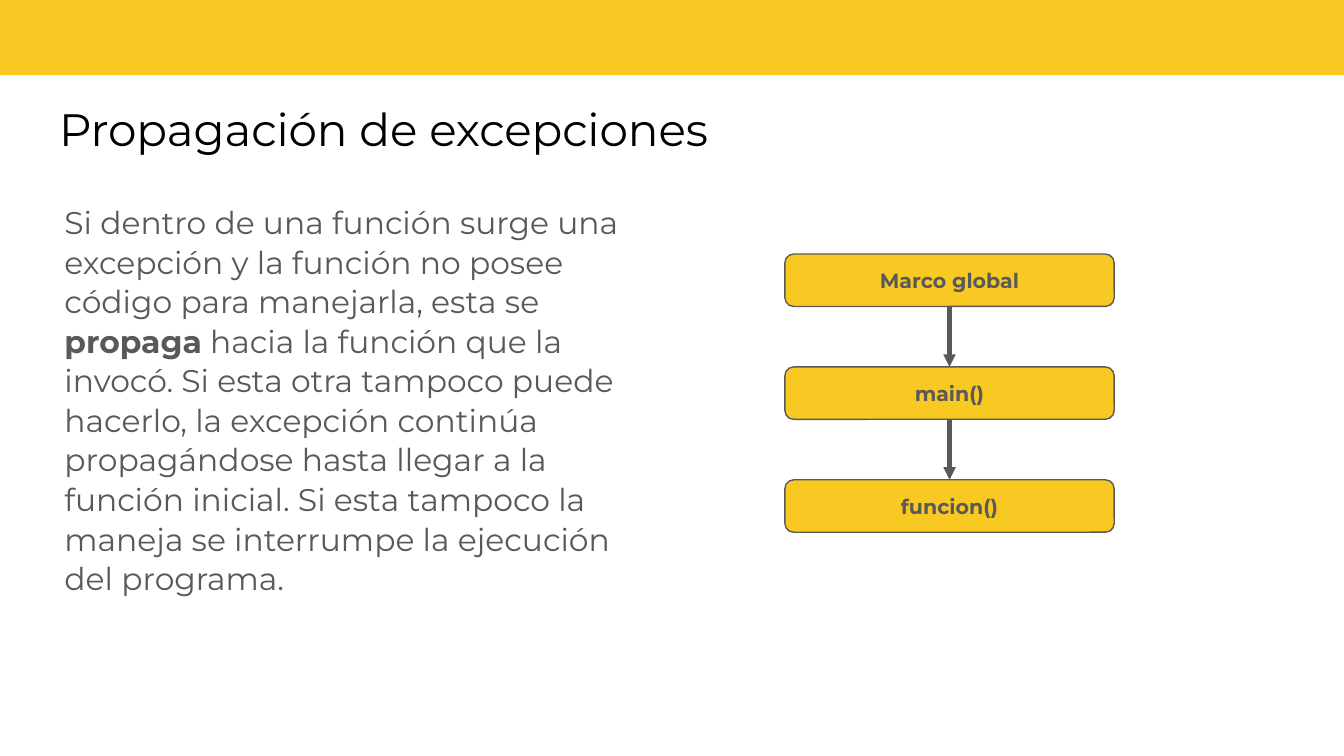
from pptx import Presentation
from pptx.dml.color import RGBColor
from pptx.enum.shapes import MSO_CONNECTOR, MSO_SHAPE
from pptx.enum.text import MSO_ANCHOR, PP_ALIGN
from pptx.oxml.ns import qn
from pptx.util import Inches, Pt
from lxml.etree import SubElement

COLORS = {"gold": "F8C823", "gray": "595959", "black": "000000"}


def color(name):
    return RGBColor.from_string(COLORS[name])


def add_run(para, text, size, tint, bold=False):
    run = para.add_run()
    run.text = text
    run.font.name = "Montserrat"
    run.font.size = Pt(size)
    run.font.bold = bold
    run.font.color.rgb = color(tint)


prs = Presentation()
prs.slide_width = Inches(10)
prs.slide_height = Inches(10) * 9 // 16
slide = prs.slides.add_slide(prs.slide_layouts[5])
shapes = slide.shapes

# Title
title = shapes.title
title.left, title.top = Inches(0.34), Inches(0.65)
title.width, title.height = Inches(9.3), Inches(0.63)
frame = title.text_frame
frame.margin_left = frame.margin_right = Inches(0.1)
frame.margin_top = frame.margin_bottom = Inches(0.1)
frame.vertical_anchor = MSO_ANCHOR.TOP
frame.paragraphs[0].alignment = PP_ALIGN.LEFT
add_run(frame.paragraphs[0], "Propagación de excepciones", 24.3, "black")

# Top band
band = shapes.add_shape(MSO_SHAPE.RECTANGLE, Inches(-0.01), Inches(-0.05),
                        Inches(10.03), Inches(0.61))
band.shadow.inherit = False
band.fill.solid()
band.fill.fore_color.rgb = color("gold")
band.line.fill.background()

# Body text
body = shapes.add_textbox(Inches(0.48), Inches(1.4), Inches(4.23), Inches(3.58))
frame = body.text_frame
frame.word_wrap = True
frame.margin_left = frame.margin_right = 0
frame.margin_top = frame.margin_bottom = Inches(0.1)
para = frame.paragraphs[0]
para.line_spacing = 1.05
for text, bold in [
    ("Si dentro de una función surge una excepción y la función no posee "
     "código para manejarla, esta se ", False),
    ("propaga", True),
    (" hacia la función que la invocó. Si esta otra tampoco puede hacerlo, "
     "la excepción continúa propagándose hasta llegar a la función inicial. "
     "Si esta tampoco la maneja se interrumpe la ejecución del programa.", False),
]:
    add_run(para, text, 16.8, "gray", bold)

# Call stack, top to bottom
boxes = []
for i, label in enumerate(["Marco global", "main()", "funcion()"]):
    box = shapes.add_shape(MSO_SHAPE.FLOWCHART_ALTERNATE_PROCESS, Inches(5.84),
                           Inches(1.89 + 0.84 * i), Inches(2.45), Inches(0.39))
    box.shadow.inherit = False
    box.fill.solid()
    box.fill.fore_color.rgb = color("gold")
    box.line.color.rgb = color("gray")
    box.line.width = Pt(0.75)
    box.text_frame.vertical_anchor = MSO_ANCHOR.MIDDLE
    para = box.text_frame.paragraphs[0]
    para.alignment = PP_ALIGN.CENTER
    add_run(para, label, 11, "gray", True)
    boxes.append(box)

for upper, lower in zip(boxes, boxes[1:]):
    arrow = shapes.add_connector(MSO_CONNECTOR.STRAIGHT, 0, 0, 0, 0)
    arrow.begin_connect(upper, 2)
    arrow.end_connect(lower, 0)
    arrow.line.color.rgb = color("gray")
    arrow.line.width = Pt(2.25)
    props = arrow._element.spPr
    SubElement(props.find(qn("a:ln")), qn("a:tailEnd"), type="triangle")
    SubElement(props, qn("a:effectLst"))

prs.save("out.pptx")
